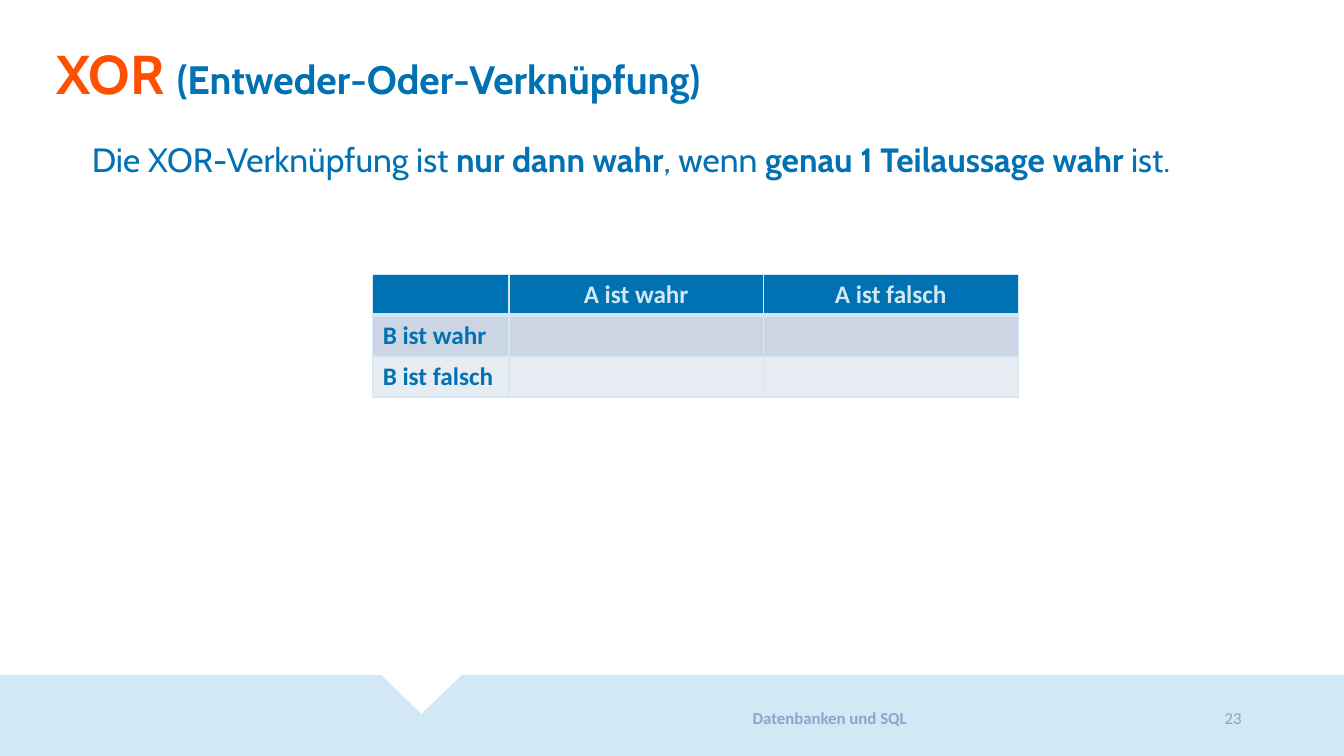
"""Build the XOR slide with its truth table and footer band."""
from lxml import etree
from pptx import Presentation
from pptx.dml.color import RGBColor
from pptx.enum import text
from pptx.oxml import ns
from pptx.util import Pt

BLUE = RGBColor(0x00, 0x71, 0xB2)
ORANGE = RGBColor(0xFE, 0x50, 0x00)
PALE = RGBColor(0xD2, 0xE8, 0xF4)
GREY = RGBColor(0x8C, 0xA5, 0xC9)
BAND_DARK = RGBColor(0xCC, 0xD5, 0xE4)
BAND_LIGHT = RGBColor(0xE7, 0xEB, 0xF2)
LEFT, CENTER, RIGHT = text.PP_ALIGN.LEFT, text.PP_ALIGN.CENTER, text.PP_ALIGN.RIGHT
TOP, MIDDLE = text.MSO_ANCHOR.TOP, text.MSO_ANCHOR.MIDDLE


def add_run(p, words, name, size, color, bold):
    r = p.add_run()
    r.text = words
    for key, value in dict(name=name, size=Pt(size), bold=bold).items():
        setattr(r.font, key, value)
    r.font.color.rgb = color


def add_border(cell, side, width):
    ln = etree.SubElement(cell._tc.get_or_add_tcPr(), ns.qn(f"a:ln{side}"), w=str(Pt(width)))
    fill = etree.SubElement(ln, ns.qn("a:solidFill"))
    etree.SubElement(fill, ns.qn("a:srgbClr"), val=str(PALE))


prs = Presentation()
prs.slide_width, prs.slide_height = Pt(960), Pt(540)
s = prs.slides.add_slide(prs.slide_layouts[6])

outline = [(272, 482), (301, 510), (330, 482), (960, 482), (960, 540), (0, 540)]
builder = s.shapes.build_freeform(0, Pt(482))
builder.add_line_segments([(Pt(x), Pt(y)) for x, y in outline], close=True)
band = builder.convert_to_shape()
band.shadow.inherit = False
band.fill.solid()
band.fill.fore_color.rgb = PALE
band.line.fill.background()

boxes = [
    ((422.5, 497, 340.5, 32), CENTER, MIDDLE, 1,
     [("Datenbanken und SQL", "Calibri", 12, GREY, True)]),
    ((763, 497, 131, 32), RIGHT, MIDDLE, 1,
     [("23", "Calibri", 12, GREY, False)]),
    ((58.5, 95.5, 875, 46), LEFT, TOP, 1,
     [("Die XOR-Verknüpfung ist ", "Cabin", 24, BLUE, False),
      ("nur dann wahr", "Cabin", 24, BLUE, True),
      (", wenn ", "Cabin", 24, BLUE, False),
      ("genau 1 Teilaussage wahr ", "Cabin", 24, BLUE, True),
      ("ist.", "Cabin", 24, BLUE, False)]),
    ((33, 30, 770.5, 57), LEFT, TOP, 0.9,
     [("XOR ", "Cabin", 39, ORANGE, True),
      ("(Entweder-Oder-Verknüpfung)", "Cabin", 28.3, BLUE, True)]),
]
for place, align, anchor, spacing, runs in boxes:
    tf = s.shapes.add_textbox(*map(Pt, place)).text_frame
    for key, value in dict(word_wrap=True, vertical_anchor=anchor).items():
        setattr(tf, key, value)
    p = tf.paragraphs[0]
    for key, value in dict(alignment=align, line_spacing=spacing).items():
        setattr(p, key, value)
    for run in runs:
        add_run(p, *run)

rows = [
    (["", "A ist wahr", "A ist falsch"], BLUE, PALE, CENTER),
    (["B ist wahr", "", ""], BAND_DARK, BLUE, LEFT),
    (["B ist falsch", "", ""], BAND_LIGHT, BLUE, LEFT),
]
table = s.shapes.add_table(3, 3, Pt(266.2), Pt(196), Pt(461.2), Pt(87.6)).table
for column, width in zip(table.columns, (97.4, 181.6, 182.2)):
    column.width = Pt(width)
for i, (labels, fill, color, align) in enumerate(rows):
    table.rows[i].height = Pt(29.2)
    for j, label in enumerate(labels):
        cell = table.cell(i, j)
        for side, width in dict(L=1, R=1, T=3 if i == 1 else 1, B=3 if i == 0 else 1).items():
            add_border(cell, side, width)
        cell.fill.solid()
        cell.fill.fore_color.rgb = fill
        p = cell.text_frame.paragraphs[0]
        p.alignment = align
        if label:
            add_run(p, label, "Calibri", 18, color, True)

prs.save("out.pptx")
